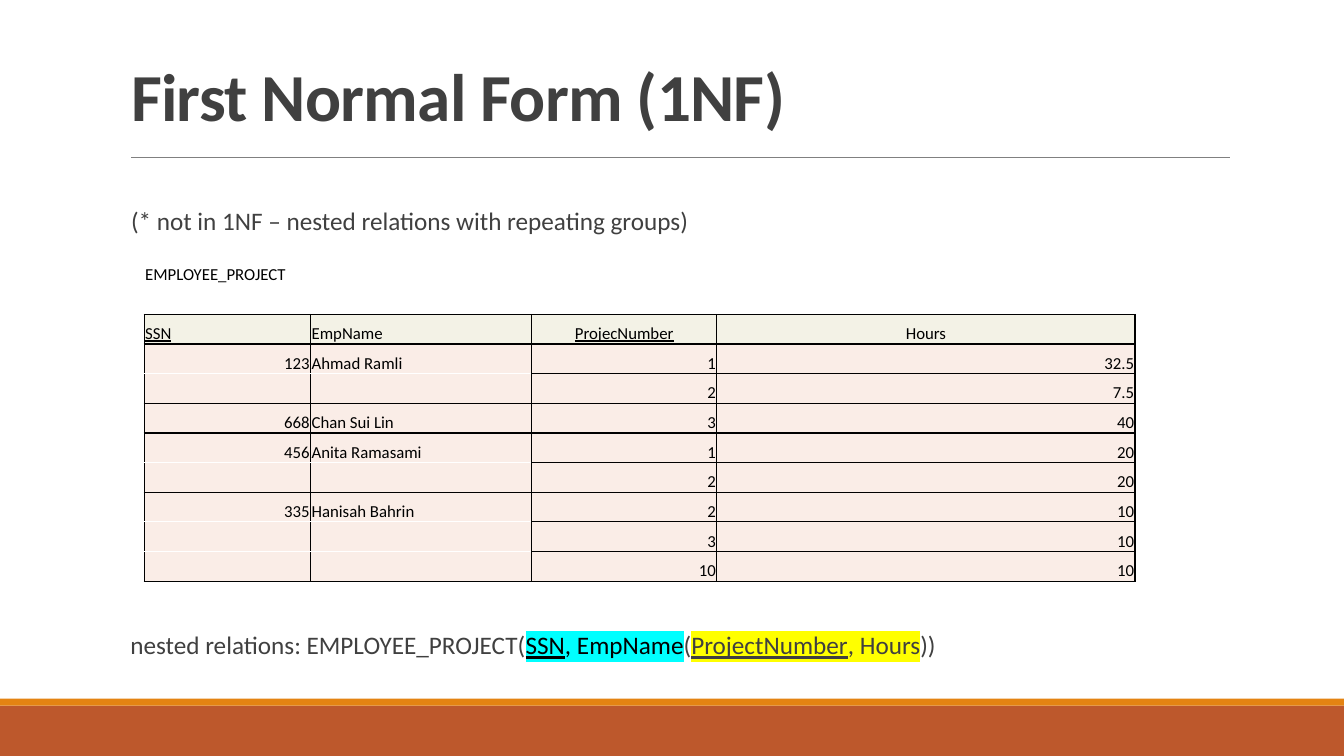
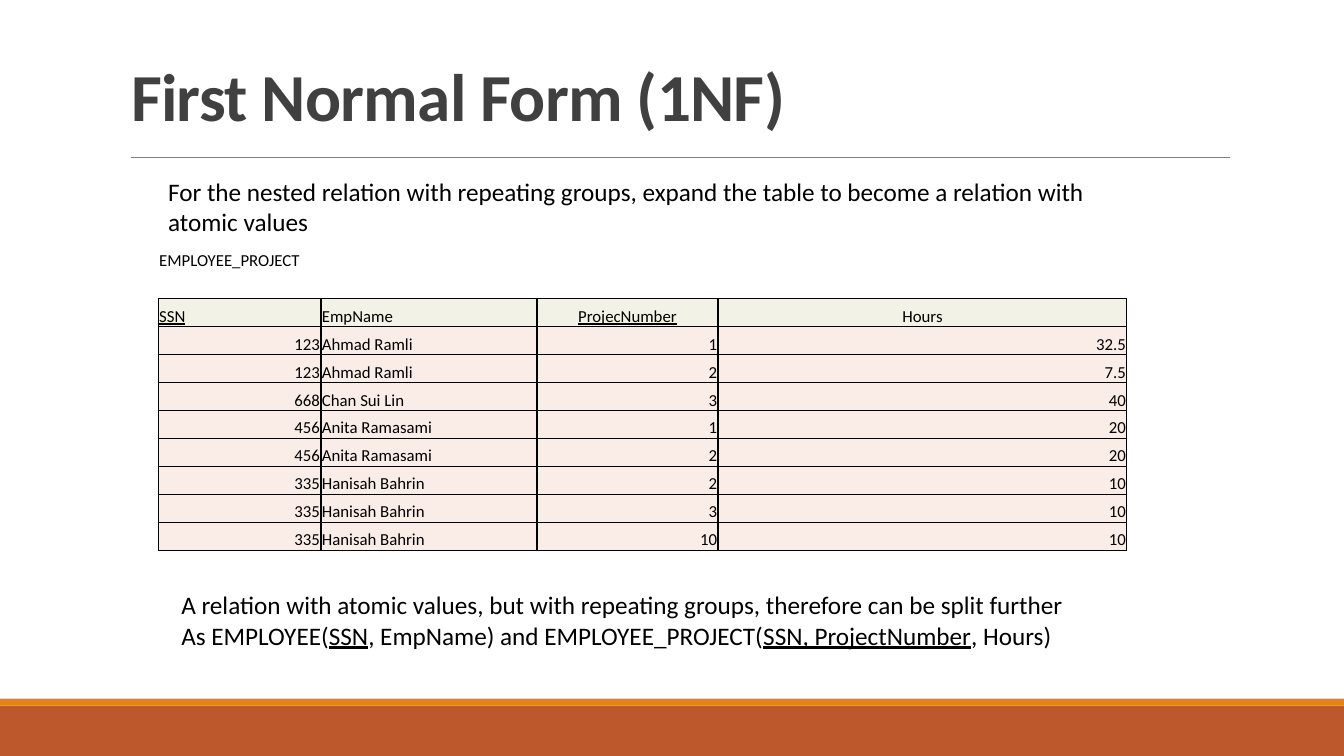
from lxml.etree import SubElement
from pptx import Presentation
from pptx.dml.color import RGBColor
from pptx.enum.shapes import MSO_CONNECTOR as Connector, MSO_SHAPE as Shape
from pptx.enum.text import MSO_ANCHOR as Anchor, MSO_AUTO_SIZE as AutoSize, PP_ALIGN as Align
from pptx.oxml.ns import qn
from pptx.util import Pt

WIDTH, HEIGHT = 960, 540
FONT = "Calibri"
BLACK, WHITE, GRAY, RULE = "000000", "FFFFFF", "404040", "808080"
RUST, ORANGE, CYAN, YELLOW = "BD582C", "E48312", "00FFFF", "FFFF00"
HEADER_FILL, BODY_FILL = "F3F2E6", "FAEDE7"
TITLE = "First Normal Form (1NF)"
TITLE_BOX = (86.4, 22.3, 792, 77.8)
COLUMN_SHARES = (16.8, 22.3, 18.7, 42.2)
ALIGNMENTS = (Align.RIGHT, Align.LEFT, Align.RIGHT, Align.RIGHT)
HEADER_ALIGNMENTS = (Align.LEFT, Align.LEFT, Align.CENTER, Align.CENTER)
HEADINGS = ("SSN", "EmpName", "ProjecNumber", "Hours")
KEYS = ("SSN", "ProjecNumber")
EMPLOYEES = (
    ("123", "Ahmad Ramli", (("1", "32.5"), ("2", "7.5"))),
    ("668", "Chan Sui Lin", (("3", "40"),)),
    ("456", "Anita Ramasami", (("1", "20"), ("2", "20"))),
    ("335", "Hanisah Bahrin", (("2", "10"), ("3", "10"), ("10", "10"))),
)


def rgb(value):
    """Turn a hex string into a colour."""
    return RGBColor.from_string(value)


def points(box):
    """Turn a box of numbers into lengths in points."""
    return [Pt(value) for value in box]


def style_font(font, size, colour, bold=False, underline=False):
    """Set the look of a run."""
    font.name, font.size = FONT, Pt(size)
    font.bold, font.underline = bold, underline
    font.color.rgb = rgb(colour)


def add_span(para, text, colour, underline=False, highlight=None):
    """Add one styled run, with an optional highlight."""
    span = para.add_run()
    span.text = text
    style_font(span.font, 18, colour, underline=underline)
    if highlight:
        properties = span.font._element
        mark = SubElement(properties, qn("a:highlight"))
        SubElement(mark, qn("a:srgbClr"), val=highlight)
        properties.find(qn("a:solidFill")).addnext(mark)


def add_band(slide, box, colour):
    """Draw a plain filled band."""
    band = slide.shapes.add_shape(Shape.RECTANGLE, *points(box))
    band.shadow.inherit = False
    band.fill.solid()
    band.fill.fore_color.rgb = rgb(colour)
    band.line.fill.background()


def add_frame(slide):
    """Draw the footer bands, the rule and the title."""
    add_band(slide, (0, 504, WIDTH, 36), RUST)
    add_band(slide, (0, 499, WIDTH, 5), ORANGE)
    rule = slide.shapes.add_connector(Connector.STRAIGHT, *points((93.6, 112.3, 878.4, 112.3)))
    rule.line.color.rgb = rgb(RULE)
    rule.line.width = Pt(0.5)
    SubElement(rule._element.spPr, qn("a:effectLst"))

    title = slide.shapes.title
    title.left, title.top, title.width, title.height = points(TITLE_BOX)
    frame = title.text_frame
    frame.text = TITLE
    frame.auto_size = AutoSize.NONE
    frame.vertical_anchor = Anchor.BOTTOM
    para = frame.paragraphs[0]
    para.alignment, para.line_spacing = Align.LEFT, 0.85
    font = para.runs[0].font
    style_font(font, 48, GRAY, bold=True)
    font._element.set("spc", "-50")


def fill_text(shape, lines, colour):
    """Write lines made of (text, options) spans into a shape."""
    frame = shape.text_frame
    frame.word_wrap = True
    frame.auto_size = AutoSize.SHAPE_TO_FIT_TEXT
    for index, line in enumerate(lines):
        para = frame.add_paragraph() if index else frame.paragraphs[0]
        for text, options in line:
            add_span(para, text, **{"colour": colour, **options})
    return frame


def fill_outline(shape, line):
    """Write one hanging, blank-bulleted line into a shape."""
    frame = fill_text(shape, [line], GRAY)
    frame.margin_left = frame.margin_right = 0
    para = frame.paragraphs[0]
    para.line_spacing, para.space_before, para.space_after = 0.9, Pt(12), Pt(2)
    properties = para._p.get_or_add_pPr()
    properties.set("marL", str(Pt(7.2)))
    properties.set("indent", str(-Pt(7.2)))
    SubElement(properties, qn("a:buChar"), char=" ")


def set_borders(cell, **colours):
    """Colour the four edges of a cell."""
    properties = cell._tc.get_or_add_tcPr()
    for side in "LRTB":
        line = SubElement(properties, qn("a:ln" + side), w=str(Pt(1)))
        fill = SubElement(line, qn("a:solidFill"))
        SubElement(fill, qn("a:srgbClr"), val=colours[side])


def fill_cell(cell, text, alignment, fill, underline):
    """Write and colour one table cell."""
    cell.margin_left = cell.margin_right = cell.margin_top = Pt(0.7)
    cell.margin_bottom = 0
    cell.vertical_anchor = Anchor.BOTTOM
    cell.text = text
    para = cell.text_frame.paragraphs[0]
    para.alignment = alignment
    if text:
        style_font(para.runs[0].font, 12, BLACK, underline=underline)
    else:
        SubElement(para._p, qn("a:endParaRPr"), sz="1200")
    if fill:
        cell.fill.solid()
        cell.fill.fore_color.rgb = rgb(fill)
    else:
        cell.fill.background()


def project_rows(nested):
    """List the employee rows, leaving repeats blank when nested."""
    rows = []
    for ssn, name, projects in EMPLOYEES:
        for index, project in enumerate(projects):
            owner = ("", "") if nested and index else (ssn, name)
            rows.append(owner + project)
    return rows


def add_project_table(slide, box, nested):
    """Draw the captioned project table in a box."""
    rows = [("EMPLOYEE_PROJECT", "", "", ""), ("",) * 4, HEADINGS, *project_rows(nested)]
    left, top, width, height = box
    table = slide.shapes.add_table(len(rows), len(HEADINGS), *points(box)).table
    table.first_row = table.horz_banding = False
    for column, share in zip(table.columns, COLUMN_SHARES):
        column.width = Pt(width * share / 100)
    for row in table.rows:
        row.height = Pt(height / len(rows))

    def edge(row, column):
        """Give the colour of the edge above a cell."""
        if row == len(rows):
            return BLACK
        return BLACK if row >= 2 and rows[row][column] else WHITE

    for row, texts in enumerate(rows):
        fill = None if row < 2 else HEADER_FILL if row == 2 else BODY_FILL
        aligns = ALIGNMENTS if row > 2 else HEADER_ALIGNMENTS
        side = WHITE if row < 2 else BLACK
        for column, text in enumerate(texts):
            cell = table.cell(row, column)
            set_borders(cell, L=side, R=side, T=edge(row, column), B=edge(row + 1, column))
            fill_cell(cell, text, aligns[column], fill, row == 2 and text in KEYS)
    table.cell(0, 0).merge(table.cell(0, 1))
    table.cell(1, 2).merge(table.cell(1, 3))


def add_note(slide, box):
    """Add an empty text box."""
    return slide.shapes.add_textbox(*points(box))


def build_nested_slide(deck):
    """Show the relation with nested repeating groups."""
    slide = deck.slides.add_slide(deck.slide_layouts[1])
    add_frame(slide)
    body = slide.placeholders[1]
    body.left, body.top, body.width, body.height = points((86.4, 145.4, 792, 26.6))
    fill_outline(body, [("(* not in 1NF – nested relations with repeating groups)", {})])
    add_project_table(slide, (103, 182.2, 707.8, 233.2), nested=True)
    fill_outline(add_note(slide, (84.2, 448.6, 792, 26.6)), [
        ("nested relations: EMPLOYEE_PROJECT(", {}),
        ("SSN", {"colour": BLACK, "underline": True, "highlight": CYAN}),
        (", EmpName", {"colour": BLACK, "highlight": CYAN}),
        ("(", {}),
        ("ProjectNumber", {"underline": True, "highlight": YELLOW}),
        (", Hours", {"highlight": YELLOW}),
        ("))", {}),
    ])


def build_expanded_slide(deck):
    """Show the relation expanded to atomic values."""
    slide = deck.slides.add_slide(deck.slide_layouts[5])
    add_frame(slide)
    add_project_table(slide, (113, 173.5, 692, 219.6), nested=False)
    fill_text(add_note(slide, (113, 122.4, 704.2, 51)), [[
        ("For the nested relation with repeating groups, expand the table "
         "to become a relation with atomic values", {}),
    ]], BLACK)
    fill_text(add_note(slide, (122.4, 417.6, 649.4, 51)), [
        [("A relation with atomic values, but with repeating groups, "
          "therefore can be split further", {})],
        [
            ("As EMPLOYEE(", {}),
            ("SSN", {"underline": True}),
            (", EmpName) and EMPLOYEE_PROJECT(", {}),
            ("SSN, ProjectNumber", {"underline": True}),
            (", Hours)", {}),
        ],
    ], BLACK)


def main():
    """Build and save the deck."""
    deck = Presentation()
    deck.slide_width, deck.slide_height = Pt(WIDTH), Pt(HEIGHT)
    build_nested_slide(deck)
    build_expanded_slide(deck)
    deck.save("out.pptx")


if __name__ == "__main__":
    main()
